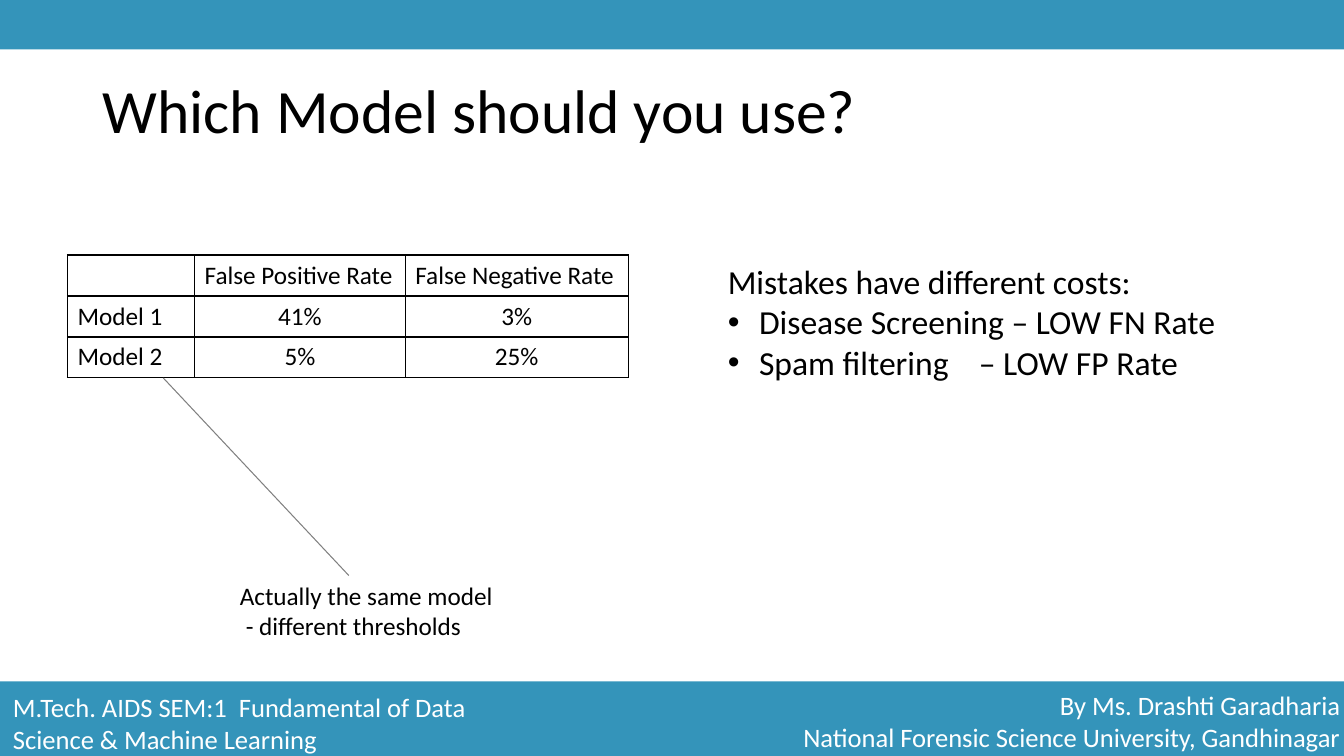
from lxml.etree import SubElement
from pptx import Presentation
from pptx.dml.color import RGBColor as Rgb
from pptx.enum.shapes import MSO_CONNECTOR as Conn, MSO_SHAPE as Shape
from pptx.enum.text import MSO_ANCHOR as Anchor, PP_ALIGN as Align
from pptx.oxml.ns import qn
from pptx.util import Pt

PX = 9144  # 100 px to the inch
HUE = {"band": "3494BA", "ink": "000000", "paper": "FFFFFF", "line": "808080"}


def style(para, size, hue="ink", **form):
    para.font.name = "Calibri"
    para.font.size = Pt(size)
    para.font.color.rgb = Rgb.from_string(HUE[hue])
    for key, val in form.items():
        setattr(para, key, val)


def indent(para, left, hang=0, bullet=None, tab=None):
    """Set the paragraph's indents, with a bullet and a tab stop if given."""
    props = para._p.get_or_add_pPr()
    props.set("marL", str(left * PX))
    props.set("indent", str(-hang * PX))
    if bullet:
        SubElement(props, qn("a:buFont"), typeface="Arial")
        SubElement(props, qn("a:buChar"), char=bullet)
    if tab:
        stops = SubElement(props, qn("a:tabLst"))
        SubElement(stops, qn("a:tab"), pos=str(tab * PX), algn="l")


deck = Presentation()
deck.slide_width, deck.slide_height = 1333 * PX, 750 * PX
slide = deck.slides.add_slide(deck.slide_layouts[6])
shapes = slide.shapes

# Bands at the top and bottom
for top, high in ((676, 74), (0, 49)):
    band = shapes.add_shape(Shape.RECTANGLE, 0, top * PX, 1333 * PX, high * PX)
    band.shadow.inherit = False
    band.fill.solid()
    band.fill.fore_color.rgb = Rgb.from_string(HUE["band"])
    band.line.fill.background()

# Text boxes: place, lines, format
texts = {
    "by": ((667, 679, 672, 73),
           ["By Ms. Drashti Garadharia",
            "National Forensic Science University, Gandhinagar"],
           {"size": 19, "hue": "paper", "alignment": Align.RIGHT}),
    "course": ((3, 681, 525, 60),
               ["M.Tech. AIDS SEM:1  Fundamental of Data Science & Machine Learning"],
               {"size": 19, "hue": "paper"}),
    "title": ((92, 40, 1150, 145), ["Which Model should you use?"],
              {"size": 44, "line_spacing": 0.9}),
    "costs": ((712, 254, 504, 210),
              ["Mistakes have different costs:",
               "Disease Screening – LOW FN Rate",
               "Spam filtering\t– LOW FP Rate"],
              {"size": 24}),
    "note": ((228, 571, 299, 70),
             ["Actually the same model", "- different thresholds"],
             {"size": 18}),
}
for name, (place, lines, form) in texts.items():
    box = shapes.add_textbox(*(n * PX for n in place))
    frame = box.text_frame
    frame.word_wrap = name != "costs"
    if name == "title":
        frame.vertical_anchor = Anchor.MIDDLE
    for num, line in enumerate(lines):
        para = frame.paragraphs[0] if num == 0 else frame.add_paragraph()
        para.text = line
        if name == "costs" and num:
            indent(para, 31, 31, "•", 249 if "\t" in line else None)
        elif name == "note" and num:
            indent(para, 6)
        style(para, **form)

# Table of error rates
rates = [
    ["", "False Positive Rate", "False Negative Rate"],
    ["Model 1", "41%", "3%"],
    ["Model 2", "5%", "25%"],
]
wide = [126, 209, 221]
table = shapes.add_table(3, 3, 67 * PX, 253 * PX, sum(wide) * PX, 122 * PX).table
table.first_row = table.horz_banding = False
for col, width in zip(table.columns, wide):
    col.width = width * PX
for row, vals in enumerate(rates):
    table.rows[row].height = 122 * PX // 3
    for col, val in enumerate(vals):
        cell = table.cell(row, col)
        cell.text = val
        mid = row and col
        style(cell.text_frame.paragraphs[0], 18,
              alignment=Align.CENTER if mid else Align.LEFT)
        props = cell._tc.get_or_add_tcPr()
        for side in ("lnL", "lnR", "lnT", "lnB"):
            edge = SubElement(props, qn("a:" + side), w=str(Pt(0.96)))
            fill = SubElement(edge, qn("a:solidFill"))
            SubElement(fill, qn("a:srgbClr"), val=HUE["ink"])
        cell.fill.background()

# Line from the note up to the table
link = shapes.add_connector(Conn.STRAIGHT, 346 * PX, 571 * PX, 162 * PX, 375 * PX)
link.line.color.rgb = Rgb.from_string(HUE["line"])
link.line.width = Pt(0.75)
SubElement(link._element.spPr, qn("a:effectLst"))

deck.save("out.pptx")
